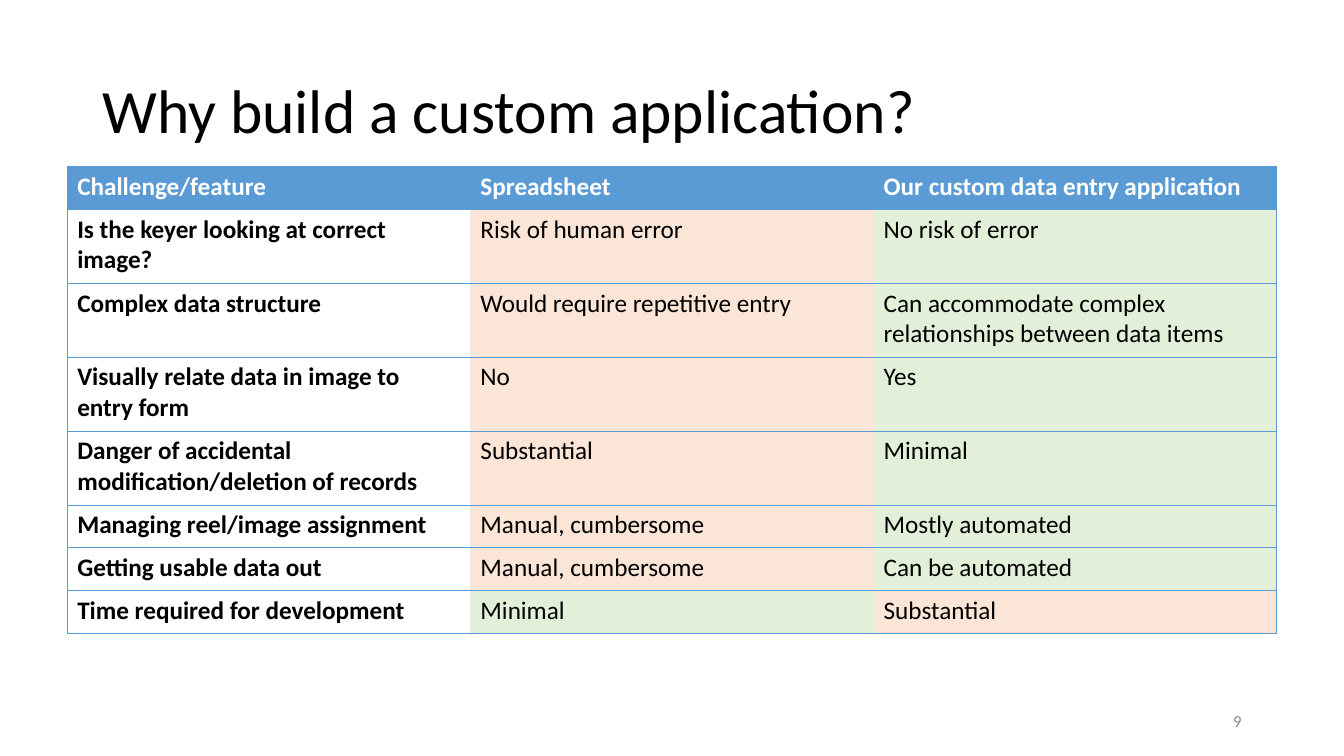
from dataclasses import dataclass

from lxml.etree import SubElement
from pptx import Presentation
from pptx.dml.color import RGBColor
from pptx.enum.text import MSO_ANCHOR as Anchor, MSO_AUTO_SIZE as AutoSize, PP_ALIGN as Align
from pptx.oxml.ns import qn
from pptx.util import Pt


@dataclass(frozen=True)
class Theme:
    font: str = "Calibri"
    title_size: float = 44
    table_size: float = 18
    number_size: float = 12
    border_width: float = 0.5
    black: str = "000000"
    white: str = "FFFFFF"
    blue: str = "5B9BD5"
    gray: str = "8C8C8C"
    weak: str = "FBE5D6"
    strong: str = "E2F0D9"


HEADINGS = ["Challenge/feature", "Spreadsheet", "Our custom data entry application"]
COMPARISONS = [
    ("Is the keyer looking at correct image?", "Risk of human error", "No risk of error"),
    ("Complex data structure", "Would require repetitive entry",
     "Can accommodate complex relationships between data items"),
    ("Visually relate data in image to entry form", "No", "Yes"),
    ("Danger of accidental modification/deletion of records", "Substantial", "Minimal"),
    ("Managing reel/image assignment", "Manual, cumbersome", "Mostly automated"),
    ("Getting usable data out", "Manual, cumbersome", "Can be automated"),
    ("Time required for development", "Minimal", "Substantial"),
]
SINGLE_LINE, DOUBLE_LINE = 30.5, 52.85
ROW_HEIGHTS = [SINGLE_LINE] + [DOUBLE_LINE] * 4 + [SINGLE_LINE] * 3


class SlideBuilder:
    def __init__(self, presentation, theme):
        self.theme = theme
        self.slide = presentation.slides.add_slide(presentation.slide_layouts[5])

    def style(self, paragraph, size, color, bold=False):
        font = paragraph.font
        font.name, font.size, font.bold = self.theme.font, Pt(size), bold
        font.color.rgb = RGBColor.from_string(color)

    def title(self, text, left, top, width, height):
        shape = self.slide.shapes.title
        shape.left, shape.top, shape.width, shape.height = map(Pt, (left, top, width, height))
        frame = shape.text_frame
        frame.text = text
        frame.word_wrap, frame.auto_size = True, AutoSize.NONE
        frame.vertical_anchor = Anchor.MIDDLE
        paragraph = frame.paragraphs[0]
        paragraph.alignment, paragraph.line_spacing = Align.LEFT, 0.9
        self.style(paragraph, self.theme.title_size, self.theme.black)

    def page_number(self, text, left, top, width, height):
        frame = self.slide.shapes.add_textbox(*map(Pt, (left, top, width, height))).text_frame
        frame.text = text
        frame.word_wrap, frame.vertical_anchor = True, Anchor.MIDDLE
        frame.paragraphs[0].alignment = Align.RIGHT
        self.style(frame.paragraphs[0], self.theme.number_size, self.theme.gray)

    def borders(self, cell, visible):
        """Draw the sides named in visible and blank the others."""
        properties = cell._tc.get_or_add_tcPr()
        for side in "LRTB":
            line = SubElement(properties, qn(f"a:ln{side}"), w=str(Pt(self.theme.border_width)))
            if side in visible:
                fill = SubElement(line, qn("a:solidFill"))
                SubElement(fill, qn("a:srgbClr"), val=self.theme.blue)
            else:
                SubElement(line, qn("a:noFill"))

    def cell(self, cell, text, color, bold, fill, visible):
        cell.text = text
        self.style(cell.text_frame.paragraphs[0], self.theme.table_size, color, bold)
        self.borders(cell, visible)
        if fill:
            cell.fill.solid()
            cell.fill.fore_color.rgb = RGBColor.from_string(fill)
        else:
            cell.fill.background()

    def comparison_table(self, headings, comparisons, left, top, width, row_heights):
        theme = self.theme
        rows = [headings, *comparisons]
        table = self.slide.shapes.add_table(
            len(rows), len(headings), Pt(left), Pt(top), Pt(width), Pt(sum(row_heights))).table
        table.horz_banding = False
        for column in table.columns:
            column.width = Pt(width / len(headings))
        for row_index, texts in enumerate(rows):
            table.rows[row_index].height = Pt(row_heights[row_index])
            fills = [None, theme.weak, theme.strong]
            if row_index == 0:
                fills = [theme.blue] * 3
            elif row_index == len(rows) - 1:
                fills = [None, theme.strong, theme.weak]
            for column_index, (text, fill) in enumerate(zip(texts, fills)):
                self.cell(table.cell(row_index, column_index), text,
                          color=theme.black if row_index else theme.white,
                          bold=row_index == 0 or column_index == 0,
                          fill=fill, visible="TB" + ("L", "", "R")[column_index])


def main():
    presentation = Presentation()
    presentation.slide_width, presentation.slide_height = Pt(960), Pt(540)
    builder = SlideBuilder(presentation, Theme())
    builder.title("Why build a custom application?", 66, 28.75, 828, 104.4)
    builder.comparison_table(HEADINGS, COMPARISONS, 48, 118.8, 864, ROW_HEIGHTS)
    builder.page_number("9", 678, 500.5, 216, 28.75)
    presentation.save("out.pptx")


if __name__ == "__main__":
    main()
